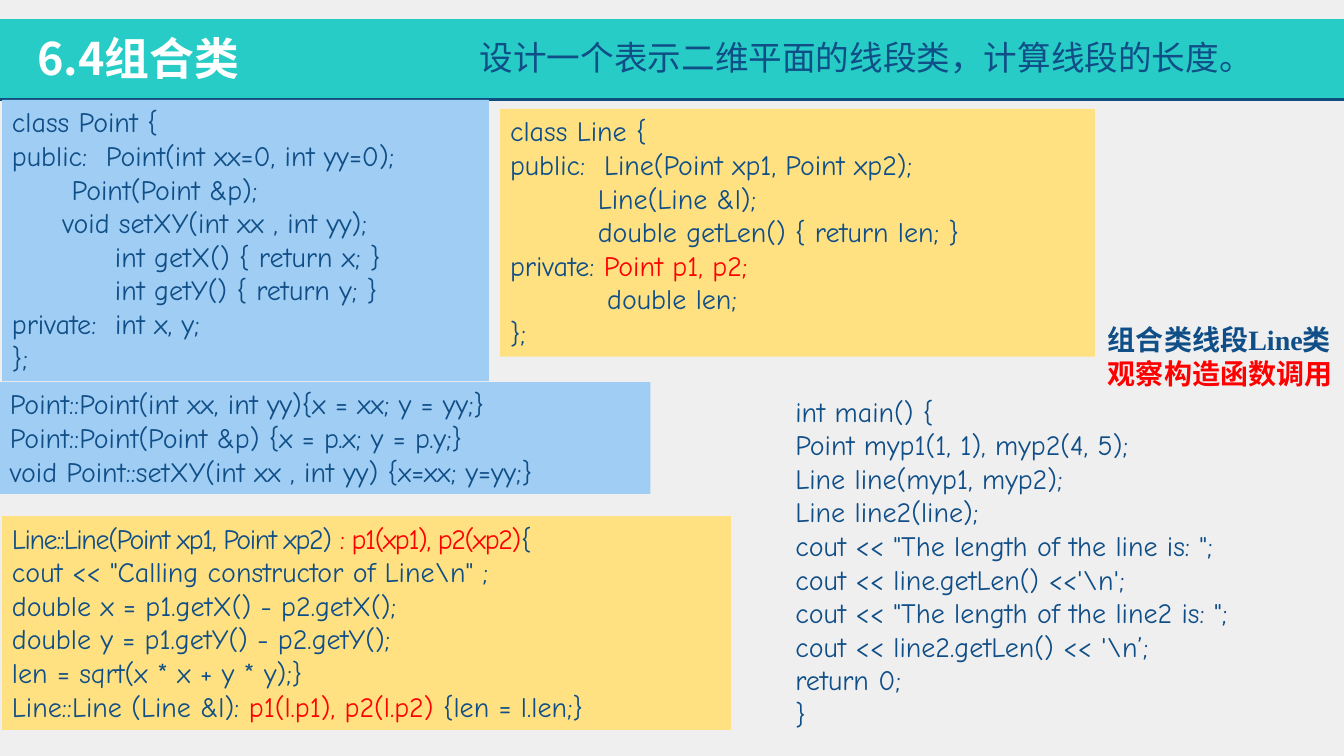
from lxml import etree
from pptx import Presentation, util as u
from pptx.dml.color import RGBColor
from pptx.enum import shapes, text
from pptx.oxml.ns import qn

PAPER = RGBColor(0xEF, 0xEF, 0xEF)
TEAL = RGBColor(0x26, 0xCC, 0xC5)
RULE = RGBColor(0x10, 0x4D, 0x7E)
NAVY = RGBColor(0x10, 0x4E, 0x87)
BLUE = RGBColor(0x9F, 0xCD, 0xF3)
YELLOW = RGBColor(0xFF, 0xE1, 0x81)
WHITE = RGBColor(0xFF, 0xFF, 0xFF)
RED = RGBColor(0xFF, 0x00, 0x00)
CJK = "Noto Sans CJK JP"
MARK = "|"

CODE = dict(size=u.Pt(20), name="Comic Neue", bold=False)
HEADING = dict(size=u.Pt(32), name=CJK, bold=True)
TASK = dict(size=u.Pt(24), name=CJK, bold=False)
REMARK = dict(size=u.Pt(20), name="Times New Roman", bold=True)
MIDDLE, TOP = text.MSO_ANCHOR.MIDDLE, text.MSO_ANCHOR.TOP

POINT_CLASS = [
    "class Point {",
    "public:  Point(int xx=0, int yy=0);",
    "  \t    Point(Point &p);".replace("    ", " "),
    "\tvoid setXY(int xx , int yy);",
    "           int getX() { return x; }",
    "           int getY() { return y; }",
    "private:  int x, y;",
    "};",
]
POINT_CLASS[2] = "\t Point(Point &p);"
POINT_BODIES = [
    "Point::Point(int xx, int yy){x = xx; y = yy;}",
    "Point::Point(Point &p) {x = p.x; y = p.y;}",
    "void Point::setXY(int xx , int yy) {x=xx; y=yy;}",
]
LINE_CLASS = [
    "class Line {",
    "public:  Line(Point xp1, Point xp2);",
    "\t    Line(Line &l);",
    "\t    double getLen() { return len; }",
    "private: |Point p1, p2;",
    "\t     double len;",
    "};",
]
LINE_BODIES = [
    "Line::Line(Point xp1, Point xp2) |: p1(xp1), p2(xp2)|{",
    'cout << "Calling constructor of Line\\n" ;',
    "double x = p1.getX() - p2.getX();",
    "double y = p1.getY() - p2.getY();",
    "len = sqrt(x * x + y * y);}",
    "Line::Line (Line &l): |p1(l.p1), p2(l.p2) |{len = l.len;}",
]
MAIN = [
    "int main() {",
    "Point myp1(1, 1), myp2(4, 5);",
    "Line line(myp1, myp2);",
    "Line line2(line);",
    'cout << "The length of the line is: ";',
    "cout << line.getLen() <<'\\n';",
    'cout << "The length of the line2 is: ";',
    "cout << line2.getLen() << '\\n’;",
    "return 0;",
    "}",
]
BAND = (0, 2.53, 100, 10.67)
PANELS = [
    ((2.03, 3.33, 65.87, 8.53), None, ["6.4组合类"], HEADING, WHITE, MIDDLE),
    ((0.15, 13.2, 36.23, 37.2), BLUE, POINT_CLASS, CODE, NAVY, TOP),
    ((0, 50.53, 48.39, 14.8), BLUE, POINT_BODIES, CODE, NAVY, TOP),
    ((37.21, 14.4, 44.26, 32.8), YELLOW, LINE_CLASS, CODE, NAVY, TOP),
    ((34.96, 4.27, 66.62, 6.67), None,
     ["设计一个表示二维平面的线段类，计算线段的长度。"], TASK, NAVY, MIDDLE),
    ((0.15, 68.27, 54.24, 28.27), YELLOW, LINE_BODIES, CODE, NAVY, TOP),
    ((58.44, 51.47, 41.41, 46.27), None, MAIN, CODE, NAVY, TOP),
    ((81.7, 42, 18.38, 10.27), None,
     ["组合类线段Line类", "|观察构造函数调用"], REMARK, NAVY, TOP),
]
TIGHT_LINE = LINE_BODIES[0]

deck = Presentation()
deck.slide_width, deck.slide_height = u.Inches(13.33), u.Inches(7.5)
slide = deck.slides.add_slide(deck.slide_layouts[6])
slide.background.fill.solid()
slide.background.fill.fore_color.rgb = PAPER


def place(shares):
    sides = (deck.slide_width, deck.slide_height) * 2
    return [int(share * side / 100) for share, side in zip(shares, sides)]


def add_block(shares, fill):
    block = slide.shapes.add_shape(shapes.MSO_SHAPE.RECTANGLE, *place(shares))
    block.shadow.inherit = False
    block.fill.solid()
    block.fill.fore_color.rgb = fill
    block.line.fill.background()
    return block


def write_line(paragraph, line, style, color):
    paragraph.alignment = text.PP_ALIGN.LEFT
    for turn, words in enumerate(line.split(MARK)):
        if not words:
            continue
        run = paragraph.add_run()
        run.text = words
        for key, value in style.items():
            setattr(run.font, key, value)
        run.font.color.rgb = RED if turn % 2 else color
        props = run.font._element
        etree.SubElement(props, qn("a:ea")).set("typeface", CJK)
        if line == TIGHT_LINE:
            props.set("spc", "-100")


add_block(BAND, TEAL)
left, top, width, height = place(BAND)
underline = slide.shapes.add_connector(
    shapes.MSO_CONNECTOR.STRAIGHT, left, top + height, width, top + height)
underline.line.color.rgb = RULE
underline.line.width = u.Pt(2)
etree.SubElement(underline._element.spPr, qn("a:effectLst"))

for shares, fill, lines, style, color, anchor in PANELS:
    panel = add_block(shares, fill) if fill else slide.shapes.add_textbox(*place(shares))
    frame = panel.text_frame
    frame.word_wrap = True
    frame.vertical_anchor = anchor
    for number, line in enumerate(lines):
        paragraph = frame.add_paragraph() if number else frame.paragraphs[0]
        write_line(paragraph, line, style, color)

deck.save("out.pptx")
